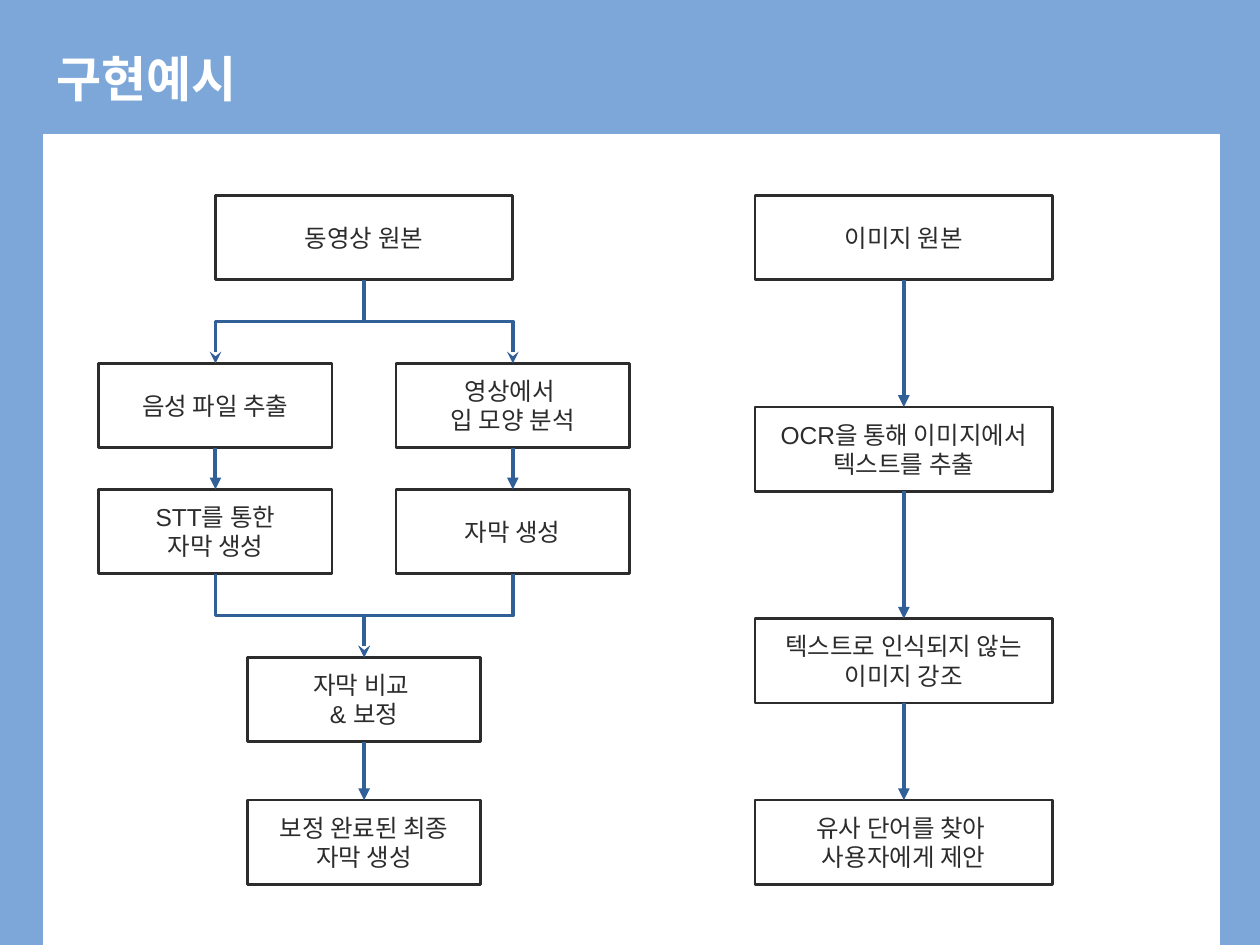
import pptx
import pptx.util
import pptx.dml.color
import pptx.enum.shapes
import pptx.enum.text
import pptx.oxml.ns
from lxml import etree
from dataclasses import dataclass

Inches, Pt = pptx.util.Inches, pptx.util.Pt
qn = pptx.oxml.ns.qn
Connector = pptx.enum.shapes.MSO_CONNECTOR
Rectangle = pptx.enum.shapes.MSO_SHAPE.RECTANGLE
Align, Anchor = pptx.enum.text.PP_ALIGN, pptx.enum.text.MSO_ANCHOR


@dataclass(frozen=True)
class Theme:
    sky: str = "7DA7D9"
    white: str = "FFFFFF"
    ink: str = "2C2C2C"
    arrow: str = "315F97"
    title_font: str = "Noto Sans CJK KR"
    body_font: str = "Arial"
    title_size: int = 28
    body_size: int = 14
    box_line: float = 1.5
    arrow_line: float = 2.25


THEME = Theme()

# Content: step -> (paragraphs, grid column, grid row, width in columns)
TITLE = "구현예시"
WIDE, NARROW = 2, 1.57
VIDEO_LEFT, VIDEO_MID, VIDEO_RIGHT, IMAGE = 0, 1, 2, 4.63
STEPS = {
    "video": (["동영상 원본"], VIDEO_MID, 0, WIDE),
    "audio": (["음성 파일 추출"], VIDEO_LEFT, 4, NARROW),
    "lips": (["영상에서 ", "입 모양 분석"], VIDEO_RIGHT, 4, NARROW),
    "stt": (["STT를 통한", "자막 생성"], VIDEO_LEFT, 7, NARROW),
    "lip_captions": (["자막 생성"], VIDEO_RIGHT, 7, NARROW),
    "compare": (["자막 비교 ", "& 보정"], VIDEO_MID, 11, NARROW),
    "final": (["보정 완료된 최종 자막 생성"], VIDEO_MID, 14.4, NARROW),
    "image": (["이미지 원본"], IMAGE, 0, WIDE),
    "ocr": (["OCR을 통해 이미지에서 텍스트를 추출"], IMAGE, 5.04, WIDE),
    "emphasis": (["텍스트로 인식되지 않는 이미지 강조"], IMAGE, 10.08, WIDE),
    "suggest": (["유사 단어를 찾아 ", "사용자에게 제안"], IMAGE, 14.4, WIDE),
}
FLOWS = [
    ("video", "audio"), ("video", "lips"),
    ("audio", "stt"), ("lips", "lip_captions"),
    ("stt", "compare"), ("lip_captions", "compare"), ("compare", "final"),
    ("image", "ocr"), ("ocr", "emphasis"), ("emphasis", "suggest"),
]

# Grid
FIRST_CENTRE, COLUMN = Inches(1.71), Inches(1.18)
FIRST_TOP, ROW = Inches(1.55), Inches(1) / 3
BOX_HEIGHT = Inches(0.67)
BOTTOM_SIDE, TOP_SIDE = 2, 0


def rgb(value):
    return pptx.dml.color.RGBColor.from_string(value)


def add_text(paragraph, text, font, size, color, bold=False):
    run = paragraph.add_run()
    run.text = text
    run.font.name, run.font.size, run.font.bold = font, Pt(size), bold
    run.font.color.rgb = rgb(color)
    return run


def add_panel(slide, left, top, width, height, line, line_width):
    panel = slide.shapes.add_shape(
        Rectangle, round(left), round(top), round(width), round(height))
    panel.shadow.inherit = False
    panel.fill.solid()
    panel.fill.fore_color.rgb = rgb(THEME.white)
    panel.line.color.rgb = rgb(line)
    panel.line.width = Pt(line_width)
    return panel


def add_step(slide, lines, column, row, columns):
    width = columns * COLUMN
    box = add_panel(slide, FIRST_CENTRE + column * COLUMN - width / 2,
                    FIRST_TOP + row * ROW, width, BOX_HEIGHT,
                    THEME.ink, THEME.box_line)
    frame = box.text_frame
    frame.word_wrap = True
    frame.vertical_anchor = Anchor.MIDDLE
    for index, line in enumerate(lines):
        paragraph = frame.add_paragraph() if index else frame.paragraphs[0]
        paragraph.alignment = Align.CENTER
        add_text(paragraph, line, THEME.body_font, THEME.body_size, THEME.ink)
    return box


def add_flow(slide, source, target):
    start_x, end_x = (box.left + box.width // 2 for box in (source, target))
    start_y, end_y = source.top + source.height, target.top
    run, drop = end_x - start_x, end_y - start_y
    bent = abs(run) > Inches(0.1)
    flow = slide.shapes.add_connector(
        Connector.ELBOW if bent else Connector.STRAIGHT,
        start_x, start_y, end_x, end_y)
    flow.begin_connect(source, BOTTOM_SIDE)
    flow.end_connect(target, TOP_SIDE)
    properties = flow._element.spPr
    if bent:  # a quarter turn makes the elbow leave and arrive vertically
        xfrm = properties.find(qn("a:xfrm"))
        for flip in ("flipH", "flipV"):
            xfrm.attrib.pop(flip, None)
        xfrm.set("rot", str((270 if run > 0 else 90) * 60000))
        if run > 0:
            xfrm.set("flipH", "1")
        flow.width, flow.height = drop, abs(run)
        flow.left = (start_x + end_x - drop) // 2
        flow.top = (start_y + end_y - abs(run)) // 2
    flow.line.color.rgb = rgb(THEME.arrow)
    flow.line.width = Pt(THEME.arrow_line)
    etree.SubElement(properties.find(qn("a:ln")), qn("a:tailEnd"),
                     type="stealth" if bent else "triangle")
    etree.SubElement(properties, qn("a:effectLst"))


def main():
    deck = pptx.Presentation()
    deck.slide_width, deck.slide_height = Inches(10), Inches(7.5)
    slide = deck.slides.add_slide(deck.slide_layouts[5])

    # Backdrop and content panel
    slide.background.fill.solid()
    slide.background.fill.fore_color.rgb = rgb(THEME.sky)
    add_panel(slide, Inches(0.35), Inches(1.07), Inches(9.33), Inches(6.43),
              THEME.white, 0.75)

    # Title
    title = slide.shapes.title
    title.left, title.top = Inches(0.35), Inches(0.27)
    title.width, title.height = Inches(8.11), Inches(0.69)
    title.text_frame.vertical_anchor = Anchor.MIDDLE
    heading = title.text_frame.paragraphs[0]
    heading.alignment = Align.LEFT
    run = add_text(heading, TITLE, THEME.title_font, THEME.title_size,
                   THEME.white, bold=True)
    etree.SubElement(run.font._element, qn("a:ea"), typeface=THEME.title_font)

    # Flowchart
    boxes = {name: add_step(slide, *step) for name, step in STEPS.items()}
    for source, target in FLOWS:
        add_flow(slide, boxes[source], boxes[target])

    deck.save("out.pptx")


if __name__ == "__main__":
    main()
